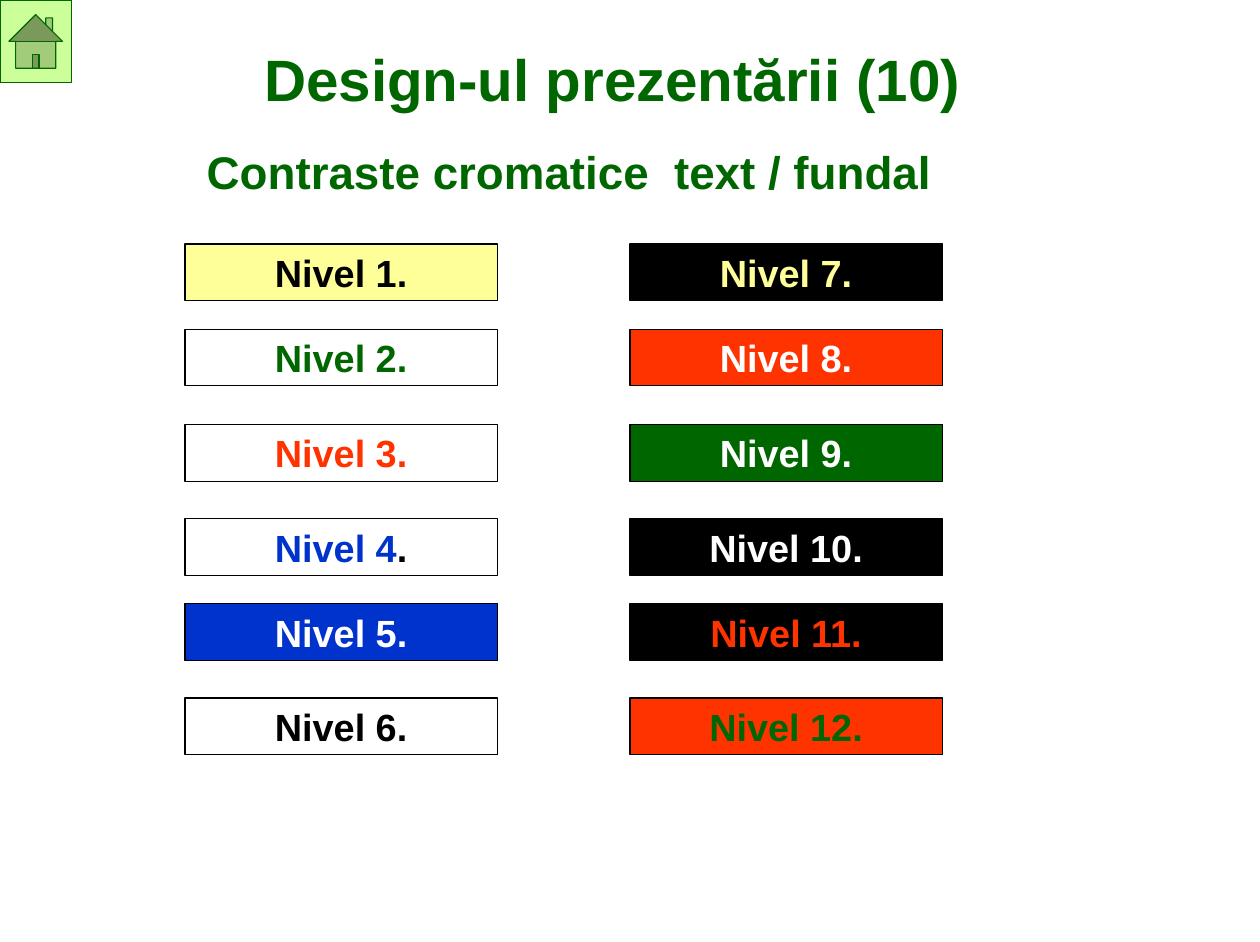
"""Build the slide on colour contrast between text and background."""
from dataclasses import dataclass
from typing import Optional

from pptx import Presentation
from pptx.dml.color import RGBColor
from pptx.enum.shapes import MSO_SHAPE as Preset
from pptx.enum.text import MSO_ANCHOR as Anchor, MSO_AUTO_SIZE as AutoSize, PP_ALIGN as Align
from pptx.shapes.autoshape import Shape
from pptx.util import Emu, Pt

EMU_PER_PX = 9144
TITLE_ONLY = 5
BLACK, WHITE, GREEN = "000000", "FFFFFF", "006600"
RED, BLUE, YELLOW, LIME = "FF3300", "0033CC", "FFFF99", "CCFF99"


@dataclass
class Level:
    """One sample of text on a background."""
    text: str
    color: str
    fill: Optional[str] = None
    tail: str = ""


COLUMNS = {
    163: [
        Level("Nivel 1.", BLACK, YELLOW),
        Level("Nivel 2.", GREEN),
        Level("Nivel 3.", RED),
        Level("Nivel 4", BLUE, tail="."),
        Level("Nivel 5.", WHITE, BLUE),
        Level("Nivel 6.", BLACK),
    ],
    555: [
        Level("Nivel 7.", YELLOW, BLACK),
        Level("Nivel 8.", WHITE, RED),
        Level("Nivel 9.", WHITE, GREEN),
        Level("Nivel 10.", WHITE, BLACK),
        Level("Nivel 11.", RED, BLACK),
        Level("Nivel 12.", GREEN, RED),
    ],
}
ROW_TOPS = (215, 290, 374, 457, 532, 615)


def px(length: int) -> Emu:
    return Emu(length * EMU_PER_PX)


def rgb(color: str) -> RGBColor:
    return RGBColor.from_string(color)


def write(shape: Shape, text: str, *, size: int, color: str, align: Align = Align.CENTER,
          inset: tuple[int, int] = (10, 5), tail: str = "") -> None:
    frame = shape.text_frame
    frame.word_wrap = True
    frame.auto_size = AutoSize.NONE
    frame.vertical_anchor = Anchor.MIDDLE
    frame.margin_left = frame.margin_right = px(inset[0])
    frame.margin_top = frame.margin_bottom = px(inset[1])
    paragraph = frame.paragraphs[0]
    paragraph.alignment = align
    for part, part_color in ((text, color), (tail, BLACK)):
        if part:
            run = paragraph.add_run()
            run.text = part
            run.font.name = "Arial"
            run.font.size = Pt(size)
            run.font.bold = True
            run.font.color.rgb = rgb(part_color)


def add_preset(shapes, preset: Preset, box: tuple[int, int, int, int],
               fill: Optional[str], line: str) -> Shape:
    shape = shapes.add_shape(preset, *map(px, box))
    shape.shadow.inherit = False
    if fill:
        shape.fill.solid()
        shape.fill.fore_color.rgb = rgb(fill)
    else:
        shape.fill.background()
    shape.line.color.rgb = rgb(line)
    shape.line.width = Pt(0.75)
    return shape


def main() -> None:
    presentation = Presentation()
    presentation.slide_width, presentation.slide_height = px(1110), px(830)
    slide = presentation.slides.add_slide(presentation.slide_layouts[TITLE_ONLY])

    title = slide.shapes.title
    title.left, title.top, title.width, title.height = map(px, (222, 0, 817, 138))
    write(title, "Design-ul prezentării (10)", size=37, color=GREEN,
          align=Align.LEFT, inset=(11, 6))

    subtitle = slide.shapes.add_textbox(*map(px, (63, 82, 877, 138)))
    write(subtitle, "Contraste cromatice  text / fundal", size=29, color=GREEN, inset=(11, 6))

    for left, levels in COLUMNS.items():
        group = slide.shapes.add_group_shape()
        for top, level in zip(ROW_TOPS, levels):
            sample = add_preset(group.shapes, Preset.RECTANGLE, (left, top, 275, 50),
                                level.fill, BLACK)
            write(sample, level.text, size=24, color=level.color, tail=level.tail)

    add_preset(slide.shapes, Preset.ACTION_BUTTON_HOME, (0, 0, 63, 73), LIME, GREEN)
    presentation.save("out.pptx")


if __name__ == "__main__":
    main()
